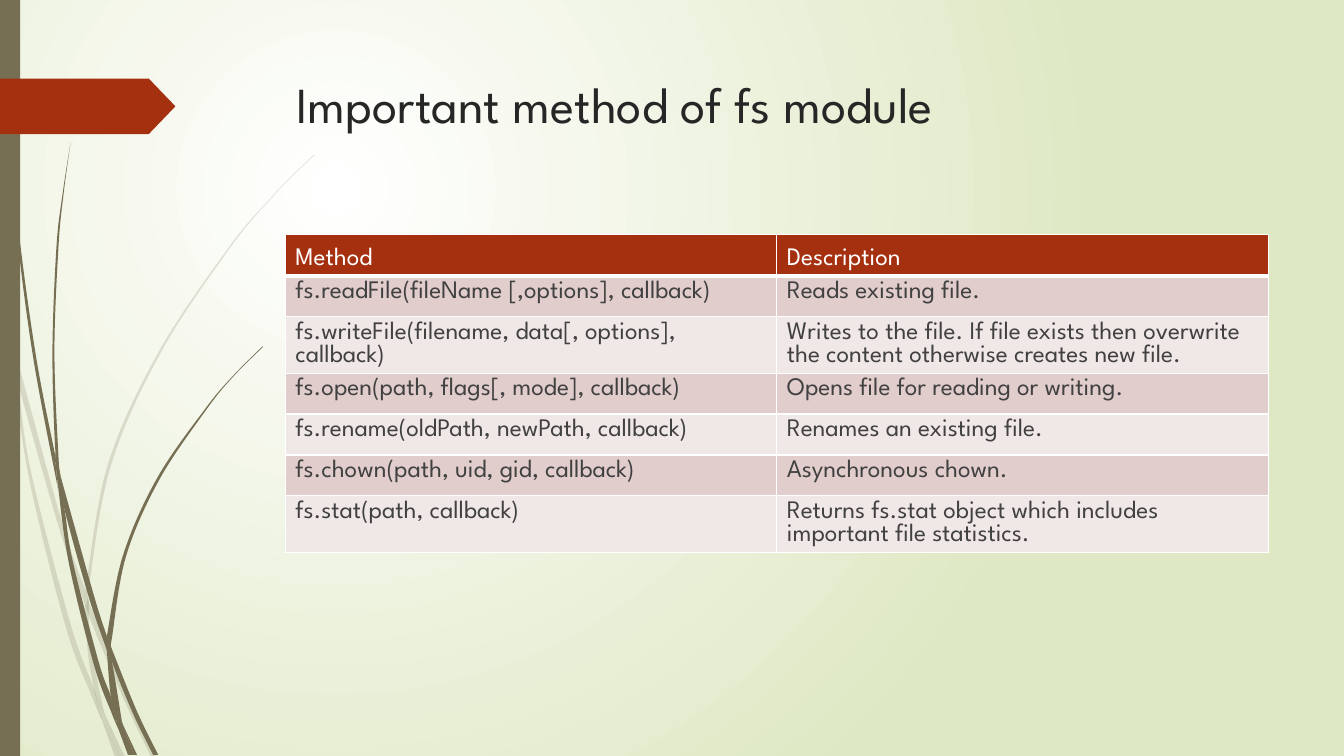
from pptx import Presentation
from pptx.dml.color import RGBColor
from pptx.enum.shapes import MSO_SHAPE
from pptx.enum.text import MSO_ANCHOR, PP_ALIGN
from pptx.oxml import parse_xml
from pptx.oxml.ns import nsdecls, qn
from pptx.util import Inches, Pt

FONT = "League Spartan"
OLIVE = RGBColor(0x76, 0x6F, 0x54)
RUST = RGBColor(0xA5, 0x30, 0x10)
WHITE = RGBColor(0xFF, 0xFF, 0xFF)
PALE_GREEN = RGBColor(0xDF, 0xE8, 0xC4)
TITLE_INK = RGBColor(0x26, 0x26, 0x26)
BODY_INK = RGBColor(0x41, 0x41, 0x41)
BANDS = (RGBColor(0xE1, 0xCD, 0xCC), RGBColor(0xF0, 0xE8, 0xE7))

# Each piece of grass: its left edge, then its right edge, both from top to bottom.
FAINT_GRASS = [
    ([(0, 2.99), (0.1, 3.44), (0.11, 3.5)], [(0, 2.82), (0.09, 3.22), (0.11, 3.5)]),
    ([(0.14, 3.45), (0.17, 3.76), (0.58, 5.22), (0.84, 5.99)],
     [(0.14, 3.45), (0.62, 5.2), (0.85, 5.86)]),
    ([(0.88, 5.96), (0.88, 6.1), (1.23, 6.94), (1.5, 7.51)],
     [(0.88, 5.96), (0.92, 6.07), (1.27, 6.92), (1.55, 7.51)]),
    ([(1.05, 7.11), (1.19, 7.51)], [(1.05, 7.11), (1.24, 7.51)]),
    ([(0.11, 3.5), (0.28, 4.7), (0.65, 6.21), (0.92, 6.93), (1.01, 7.14)],
     [(0.11, 3.5), (0.17, 3.76), (0.31, 4.69), (0.7, 6.19), (0.93, 6.83), (0.99, 7.07)]),
    ([(0.84, 5.99), (0.87, 6.46), (0.93, 6.83), (0.96, 6.92), (1.05, 7.11)],
     [(0.88, 6.08), (0.91, 6.46), (1.03, 7.06)]),
    ([(3.12, 1.53), (2.89, 1.75), (2.68, 1.97), (2.28, 2.44), (1.58, 3.48), (1.07, 4.61),
      (0.85, 5.84), (0.85, 5.86)],
     [(3.12, 1.54), (2.9, 1.75), (2.68, 1.98), (2.29, 2.45), (1.6, 3.49), (1.1, 4.62),
      (0.88, 5.84), (0.88, 5.96)]),
    ([(1.01, 7.14), (1.14, 7.51)], [(1.01, 7.14), (1.19, 7.51)]),
    ([(0.85, 5.86), (0.84, 5.99), (0.88, 6.08)], [(0.85, 5.86), (0.88, 5.96), (0.88, 6.1)]),
    ([(0.93, 6.83), (0.99, 7.07), (1.01, 7.14), (1.19, 7.51)],
     [(0.93, 6.83), (0.96, 6.92), (1.05, 7.11), (1.19, 7.51)]),
]
SOLID_GRASS = [
    ([(0.03, 0), (0.04, 0.48), (0.07, 1.1), (0.17, 2.33), (0.33, 3.55), (0.56, 4.77),
      (0.57, 4.81)],
     [(0.04, 0), (0.05, 0.48), (0.08, 1.09), (0.19, 2.32), (0.36, 3.55), (0.55, 4.53),
      (0.55, 4.57)]),
    ([(0.6, 4.72), (0.64, 5.05), (0.88, 5.92), (1.06, 6.45)],
     [(0.6, 4.72), (0.93, 5.9), (1.06, 6.31)]),
    ([(1.1, 6.41), (1.11, 6.56), (1.32, 7.08), (1.52, 7.49)],
     [(1.1, 6.41), (1.13, 6.49), (1.36, 7.06), (1.57, 7.49)]),
    ([(0.57, 4.77), (0.68, 5.57), (0.93, 6.59), (1.11, 7.08), (1.17, 7.22)],
     [(0.57, 4.77), (0.64, 5.05), (0.72, 5.56), (0.98, 6.57), (1.1, 6.91), (1.16, 7.17)]),
    ([(0.7, 1.41), (0.62, 1.93), (0.56, 2.45), (0.52, 3.49), (0.55, 4.49), (0.6, 4.72)],
     [(0.7, 1.41), (0.63, 1.93), (0.58, 2.45), (0.54, 3.49), (0.58, 4.53), (0.6, 4.72)]),
    ([(1.22, 7.19), (1.33, 7.49)], [(1.22, 7.19), (1.36, 7.49)]),
    ([(0.55, 4.49), (0.55, 4.53), (0.57, 4.77), (0.64, 5.05)],
     [(0.55, 4.49), (0.6, 4.72), (0.64, 5.05)]),
    ([(2.6, 3.44), (2.31, 3.73), (2.04, 4.05), (1.56, 4.74), (1.22, 5.51), (1.06, 6.31)],
     [(2.61, 3.44), (2.31, 3.74), (2.05, 4.06), (1.58, 4.76), (1.25, 5.52), (1.11, 6.33),
      (1.1, 6.41)]),
    ([(1.17, 7.22), (1.27, 7.49)], [(1.17, 7.22), (1.31, 7.49)]),
    ([(1.06, 6.45), (1.1, 6.91), (1.16, 7.06), (1.22, 7.19)],
     [(1.06, 6.45), (1.11, 6.56), (1.21, 7.16)]),
    ([(1.06, 6.31), (1.06, 6.45), (1.11, 6.56)], [(1.06, 6.31), (1.1, 6.41), (1.11, 6.56)]),
    ([(1.1, 6.91), (1.16, 7.17), (1.17, 7.22), (1.3, 7.49)],
     [(1.1, 6.91), (1.16, 7.06), (1.22, 7.19), (1.33, 7.49)]),
]
METHODS = [
    ("Method", "Description"),
    ("fs.readFile(fileName [,options], callback)", "Reads existing file."),
    ("fs.writeFile(filename, data[, options], callback)",
     "Writes to the file. If file exists then overwrite the content otherwise "
     "creates new file."),
    ("fs.open(path, flags[, mode], callback)", "Opens file for reading or writing."),
    ("fs.rename(oldPath, newPath, callback)", "Renames an existing file."),
    ("fs.chown(path, uid, gid, callback)", "Asynchronous chown."),
    ("fs.stat(path, callback)",
     "Returns fs.stat object which includes important file statistics."),
]


def bend(segments, start):
    """Turn a run of line segments into Bezier curves through the same points."""
    ends = [(int(pt.get("x")), int(pt.get("y"))) for pt in [start, *(s[0] for s in segments)]]
    padded = [ends[0], *ends, ends[-1]]
    for segment, a, b, c, d in zip(segments, padded, padded[1:], padded[2:], padded[3:]):
        first = [round(q + (r - p) / 6) for p, q, r in zip(a, b, c)]
        second = [round(r - (s - q) / 6) for q, r, s in zip(b, c, d)]
        points = "".join(f'<a:pt x="{x}" y="{y}"/>' for x, y in (first, second, c))
        segment.getparent().replace(segment, parse_xml(
            f'<a:cubicBezTo {nsdecls("a")}>{points}</a:cubicBezTo>'))


def paint(shape, color, alpha=None):
    """Fill a shape flat, without line or shadow."""
    shape.shadow.inherit = False
    shape.fill.solid()
    shape.fill.fore_color.rgb = color
    shape.line.fill.background()
    if alpha:
        tint = shape.fill._xPr.find(f".//{qn('a:srgbClr')}")
        tint.append(parse_xml(f'<a:alpha {nsdecls("a")} val="{alpha * 1000}"/>'))


def add_grass(page, left, top, pieces, alpha=None):
    """Draw curved pieces of grass, offset from the given corner."""
    for left_edge, right_edge in pieces:
        outline = [(Inches(left + x), Inches(top + y))
                   for x, y in left_edge + right_edge[::-1]]
        builder = page.shapes.build_freeform(*outline[0])
        builder.add_line_segments(outline[1:], close=True)
        piece = builder.convert_to_shape()
        start = piece._element.find(f".//{qn('a:moveTo')}")[0]
        segments = piece._element.findall(f".//{qn('a:lnTo')}")
        turn = len(left_edge)
        bend(segments[:turn - 1], start)
        bend(segments[turn:len(outline) - 1], segments[turn - 1][0])
        paint(piece, OLIVE, alpha)


def add_decor(page, left, top, height):
    """Draw the grass, the side bar and the arrow tag."""
    add_grass(page, left, top, FAINT_GRASS, alpha=20)
    add_grass(page, left, top, SOLID_GRASS)
    bar = page.shapes.add_shape(MSO_SHAPE.RECTANGLE, Inches(left), Inches(top),
                                Inches(0.2), Inches(height))
    paint(bar, OLIVE)
    tag = page.shapes.add_shape(MSO_SHAPE.PENTAGON, Inches(left), Inches(top + 0.78),
                                Inches(1.74), Inches(0.55))
    tag.adjustments[0] = 0.48
    paint(tag, RUST)


def set_background(page):
    """Give the page a round gradient that is white at the upper left."""
    page.background.fill.solid()
    holder = page.background.fill._xPr
    holder.replace(holder[0], parse_xml(
        f'<a:gradFill {nsdecls("a")} rotWithShape="1"><a:gsLst>'
        f'<a:gs pos="0"><a:srgbClr val="{WHITE}"/></a:gs>'
        f'<a:gs pos="100000"><a:srgbClr val="{PALE_GREEN}"/></a:gs></a:gsLst>'
        '<a:path path="circle"><a:fillToRect l="50000" t="50000" r="100000" b="100000"/>'
        '</a:path></a:gradFill>'))


def style_text(para, size, color):
    """Set the font of a whole paragraph."""
    para.font.name, para.font.size, para.font.color.rgb = FONT, Pt(size), color


def add_title(page, text, left, top, width, height):
    """Place and format the title placeholder."""
    title = page.shapes.title
    title.left, title.top = Inches(left), Inches(top)
    title.width, title.height = Inches(width), Inches(height)
    title.text_frame.text = text
    title.text_frame.vertical_anchor = MSO_ANCHOR.TOP
    para = title.text_frame.paragraphs[0]
    para.alignment = PP_ALIGN.LEFT
    style_text(para, 36, TITLE_INK)


def add_border(cell, bottom):
    """Give a cell white borders, with the bottom one of the given width."""
    properties = cell._tc.get_or_add_tcPr()
    for place, (side, width) in enumerate(dict(L=1, R=1, T=1, B=bottom).items()):
        properties.insert(place, parse_xml(
            f'<a:ln{side} {nsdecls("a")} w="{Pt(width)}"><a:solidFill>'
            f'<a:srgbClr val="{WHITE}"/></a:solidFill></a:ln{side}>'))


def add_method_table(page, rows, left, top, width, height):
    """Add the table of methods, with a header and banded rows."""
    frame = page.shapes.add_table(len(rows), len(rows[0]), Inches(left), Inches(top),
                                  Inches(width), Inches(height))
    for row_index, texts in enumerate(rows):
        header = row_index == 0
        for column_index, text in enumerate(texts):
            cell = frame.table.cell(row_index, column_index)
            cell.text = text
            cell.vertical_anchor = MSO_ANCHOR.BOTTOM if header else MSO_ANCHOR.TOP
            cell.fill.solid()
            cell.fill.fore_color.rgb = RUST if header else BANDS[(row_index - 1) % 2]
            para = cell.text_frame.paragraphs[0]
            style_text(para, 18, WHITE if header else BODY_INK)
            para.font.bold = False
            add_border(cell, bottom=3 if header else 1)


def build_page(deck):
    """Build the slide on the fs module."""
    page = deck.slides.add_slide(deck.slide_layouts.get_by_name("Title Only"))
    set_background(page)
    add_decor(page, 0, 0, 7.5)
    add_title(page, "Important method of fs module", 2.84, 0.68, 9.75, 1.4)
    add_method_table(page, METHODS, 2.83, 2.33, 9.75, 2.84)


deck = Presentation()
deck.slide_width, deck.slide_height = Inches(13.33), Inches(7.5)
build_page(deck)
deck.save("out.pptx")
